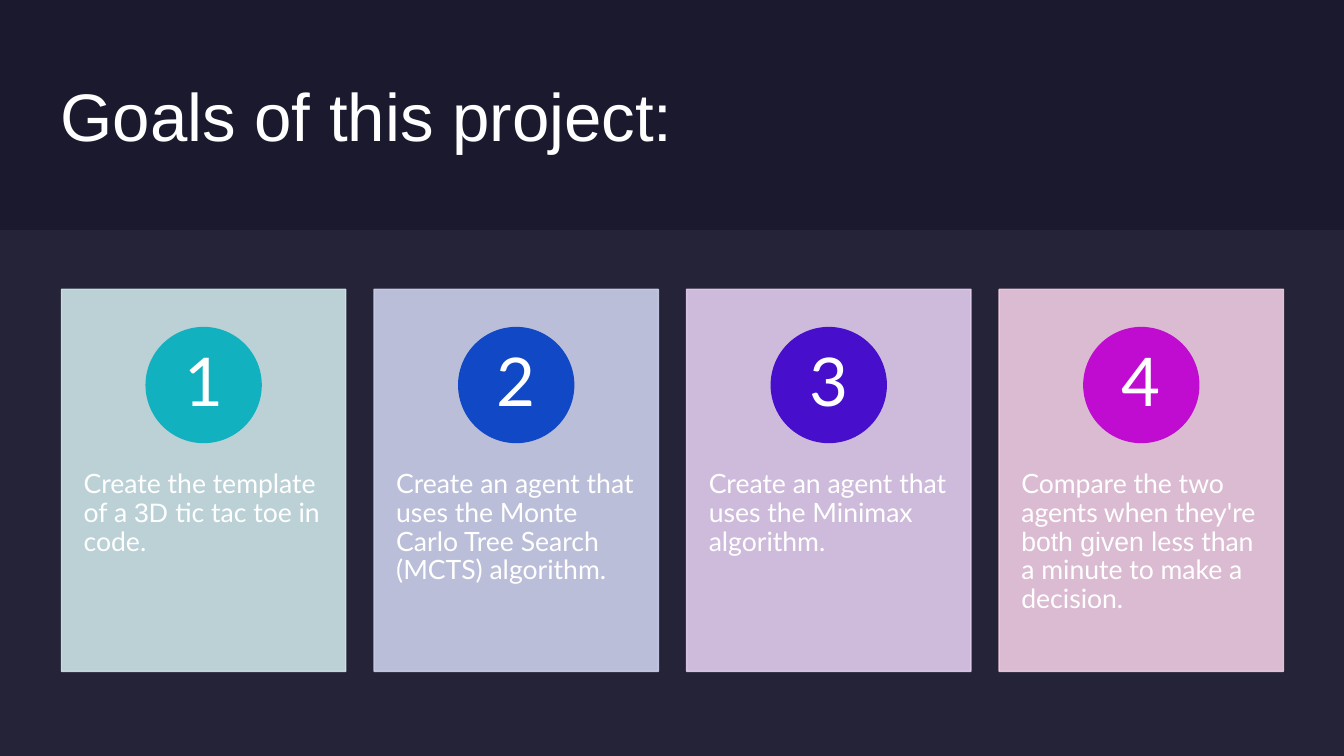
"""Build the project goals slide with four numbered cards."""
import dataclasses

import lxml.etree
import pptx
import pptx.dml.color
import pptx.enum.shapes
import pptx.enum.text
import pptx.oxml.ns
import pptx.util

PX = 9144
SHAPE = pptx.enum.shapes.MSO_SHAPE
ALIGN = pptx.enum.text.PP_ALIGN
ANCHOR = pptx.enum.text.MSO_ANCHOR


@dataclasses.dataclass(frozen=True)
class Theme:
    """Colours, fonts and type sizes of the slide."""
    background: str = "1B192E"
    panel: str = "E4E3F0"
    text: str = "FFFFFF"
    cards: tuple = ("CCE4E8", "CCCFEB", "E1CCED", "EFCCE2")
    badges: tuple = ("12B1BF", "1048C5", "470ECB", "C00BD1")
    heading_font: str = "Arial"
    body_font: str = "Lato"
    display_size: int = 48
    body_size: int = 19


THEME = Theme()
GOALS = (
    (("Create the template of a ", THEME.body_font),
     ("3D ", THEME.heading_font),
     ("tic tac toe in code.", THEME.body_font)),
    (("Create an agent that uses the Monte Carlo Tree Search (MCTS) algorithm.",
      THEME.body_font),),
    (("Create an agent that uses the Minimax algorithm.", THEME.body_font),),
    (("Compare the two agents when they're ", THEME.body_font),
     ("both given ", THEME.heading_font),
     ("less than a minute to make a decision.", THEME.body_font)),
)


def px(*lengths):
    """Turn pixel lengths into EMU."""
    return [pptx.util.Emu(length * PX) for length in lengths]


def paint(fill, color, opacity=100):
    """Give a fill a solid colour with an opacity in percent."""
    fill.solid()
    fill.fore_color.rgb = pptx.dml.color.RGBColor.from_string(color)
    if opacity < 100:
        qn = pptx.oxml.ns.qn
        for clr in fill._xPr.find(qn("a:solidFill")):
            lxml.etree.SubElement(clr, qn("a:alpha"), val=str(opacity * 1000))


def add_block(slide, kind, box, color, opacity=100, outlined=True):
    """Add a flat preset shape, outlined in its own colour if asked."""
    sp = slide.shapes.add_shape(kind, *px(*box))
    sp.shadow.inherit = False
    paint(sp.fill, color, opacity)
    if outlined:
        sp.line.width = pptx.util.Pt(1)
        paint(sp.line.fill, color, opacity)
    else:
        sp.line.fill.background()
    return sp


def write(sp, runs, size, insets=(0, 0), anchor=ANCHOR.MIDDLE,
          align=ALIGN.LEFT, spacing=None):
    """Write one paragraph of (text, font) runs into a shape."""
    tf = sp.text_frame
    tf.word_wrap = True
    tf.vertical_anchor = anchor
    tf.margin_left = tf.margin_right = px(insets[0])[0]
    tf.margin_top = tf.margin_bottom = px(insets[1])[0]
    p = tf.paragraphs[0]
    p.alignment = align
    p.line_spacing = spacing
    for text, font in runs:
        r = p.add_run()
        r.text = text
        r.font.name = font
        r.font.size = pptx.util.Pt(size)
        r.font.color.rgb = pptx.dml.color.RGBColor.from_string(THEME.text)


def add_title(slide, text):
    """Add the slide heading."""
    sp = slide.shapes.add_textbox(*px(60, 60, 799, 108))
    write(sp, [(text, THEME.heading_font)], THEME.display_size)


def add_card(slide, index, goal):
    """Add one goal card with its numbered badge and text."""
    left, top, width, badge = 61 + 310 * index, 287, 282, 114
    add_block(slide, SHAPE.RECTANGLE, (left, top, width, 379),
              THEME.cards[index], 90)
    sp = slide.shapes.add_textbox(*px(left, top + 144, width, 228))
    write(sp, goal, THEME.body_size, (22, 36), ANCHOR.TOP, spacing=0.9)
    sp = add_block(slide, SHAPE.OVAL,
                   (left + (width - badge) // 2, top + 38, badge, badge),
                   THEME.badges[index])
    write(sp, [(str(index + 1), THEME.body_font)], THEME.display_size,
          (9, 1), align=ALIGN.CENTER, spacing=0.9)


def main():
    """Build and save the slide."""
    prs = pptx.Presentation()
    prs.slide_width, prs.slide_height = px(1333, 750)
    slide = prs.slides.add_slide(prs.slide_layouts[6])
    paint(slide.background.fill, THEME.background)
    add_title(slide, "Goals of this project:")
    add_block(slide, SHAPE.RECTANGLE, (0, 228, 1333, 522), THEME.panel, 5,
              outlined=False)
    for index, goal in enumerate(GOALS):
        add_card(slide, index, goal)
    prs.save("out.pptx")


if __name__ == "__main__":
    main()
